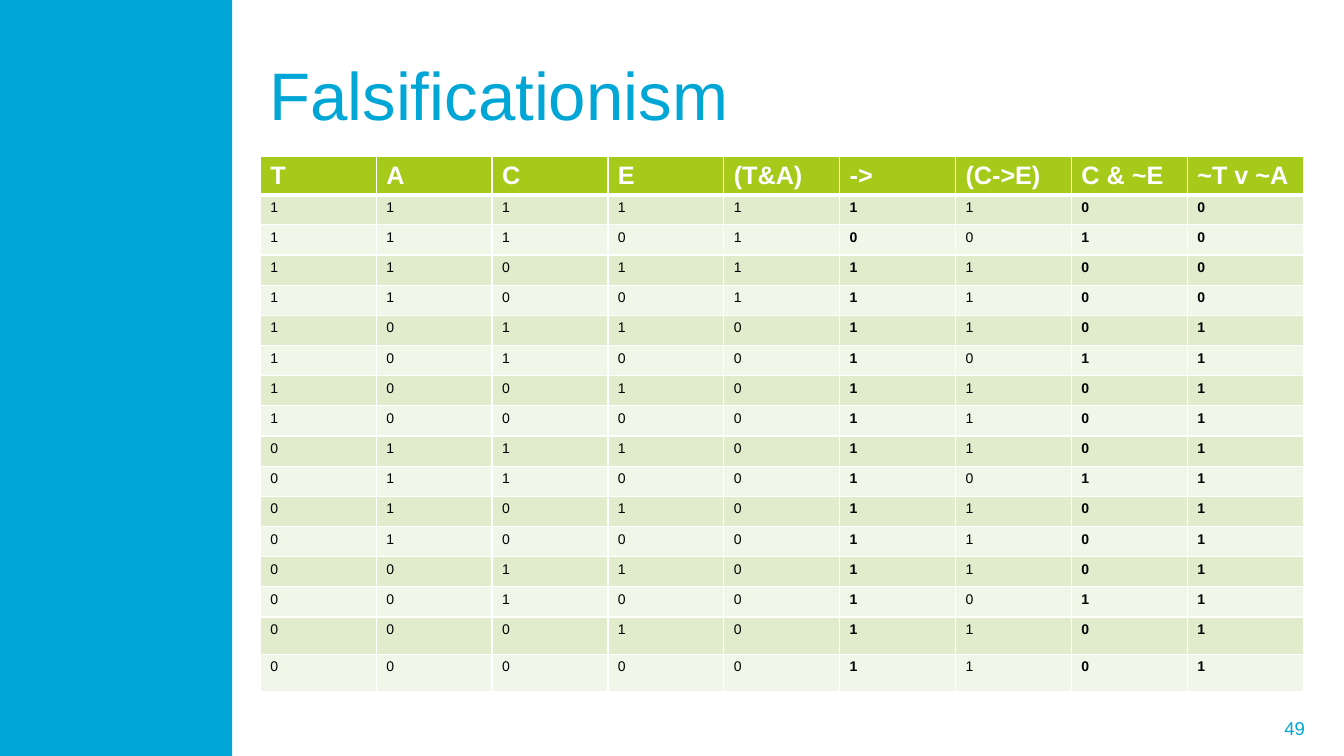
"""Build the Falsificationism slide with its computed truth table."""
import itertools

import lxml.etree
import pptx
import pptx.dml.color
import pptx.enum.shapes
import pptx.enum.text
import pptx.oxml.ns
import pptx.util

Cm = pptx.util.Cm
RGBColor = pptx.dml.color.RGBColor
FONT = "Arial"
BLUE = RGBColor(0x00, 0xA6, 0xD6)
GREEN = RGBColor(0xA5, 0xCA, 0x1A)
BAND_DARK = RGBColor(0xE1, 0xEC, 0xCD)
BAND_LIGHT = RGBColor(0xF0, 0xF6, 0xE8)
WHITE = RGBColor(0xFF, 0xFF, 0xFF)
BLACK = RGBColor(0x00, 0x00, 0x00)
HEADERS = ["T", "A", "C", "E", "(T&A)", "->", "(C->E)", "C & ~E", "~T v ~A"]
BOLD_COLUMNS = {"->", "C & ~E", "~T v ~A"}


def truth_rows():
    """Return the truth values for every assignment of T, A, C and E."""
    rows = []
    for t, a, c, e in itertools.product((1, 0), repeat=4):
        both = t & a
        follows = (1 - c) | e
        rows.append([t, a, c, e, both, (1 - both) | follows, follows, 1 - follows, 1 - both])
    return rows


def set_text(tf, text, size, color, bold=False):
    """Write one paragraph and format its run."""
    tf.text = text
    p = tf.paragraphs[0]
    font = p.runs[0].font
    font.name = FONT
    font.size = pptx.util.Pt(size)
    font.color.rgb = color
    font.bold = bold
    return p


def place(sp, left, top, width, height):
    """Move and size a shape, in centimetres."""
    sp.left, sp.top, sp.width, sp.height = Cm(left), Cm(top), Cm(width), Cm(height)


def add_sidebar(s):
    """Draw the blue band on the left edge."""
    sp = s.shapes.add_shape(pptx.enum.shapes.MSO_SHAPE.RECTANGLE, 0, 0, Cm(5.85), Cm(19.05))
    sp.shadow.inherit = False
    sp.fill.solid()
    sp.fill.fore_color.rgb = BLUE
    sp.line.fill.background()


def add_title(s, text):
    """Fill and place the title placeholder."""
    sp = s.shapes.title
    place(sp, 6.53, 0.76, 26.31, 3.18)
    p = set_text(sp.text_frame, text, 48, BLUE)
    p.alignment = pptx.enum.text.PP_ALIGN.LEFT
    sp.text_frame.vertical_anchor = pptx.enum.text.MSO_ANCHOR.MIDDLE


def add_page_number(s, number):
    """Put the page number at the bottom right."""
    sp = s.shapes.add_textbox(Cm(24.64), Cm(17.83), Cm(8.58), Cm(1.02))
    tf = sp.text_frame
    tf.word_wrap = True
    tf.vertical_anchor = pptx.enum.text.MSO_ANCHOR.MIDDLE
    tf.margin_left = tf.margin_right = Cm(0.33)
    tf.margin_top = tf.margin_bottom = Cm(0.18)
    set_text(tf, number, 13.3, BLUE).alignment = pptx.enum.text.PP_ALIGN.RIGHT


def set_borders(cell, top, bottom):
    """Give a cell white borders, with top and bottom widths in points."""
    qn = pptx.oxml.ns.qn
    tc_pr = cell._tc.get_or_add_tcPr()
    for side, width in (("L", 1), ("R", 1), ("T", top), ("B", bottom)):
        ln = lxml.etree.SubElement(tc_pr, qn(f"a:ln{side}"), w=str(pptx.util.Pt(width)))
        fill = lxml.etree.SubElement(ln, qn("a:solidFill"))
        lxml.etree.SubElement(fill, qn("a:srgbClr"), val=str(WHITE))


def fill_cell(cell, text, size, color, bold, fill, top=1, bottom=1):
    """Write, border and fill one table cell."""
    set_text(cell.text_frame, text, size, color, bold)
    set_borders(cell, top, bottom)
    cell.fill.solid()
    cell.fill.fore_color.rgb = fill


def add_truth_table(s):
    """Add the truth table with banded rows."""
    rows = truth_rows()
    heights = [0.94] + [0.76] * (len(rows) - 2) + [0.94] * 2
    table = s.shapes.add_table(len(heights), len(HEADERS), Cm(6.56), Cm(3.94),
                               Cm(26.28), Cm(sum(heights))).table
    for row, height in zip(table.rows, heights):
        row.height = Cm(height)
    for i, header in enumerate(HEADERS):
        table.columns[i].width = Cm(2.92)
        fill_cell(table.cell(0, i), header, 18, WHITE, True, GREEN, bottom=3)
        for j, row in enumerate(rows, 1):
            fill_cell(table.cell(j, i), str(row[i]), 10, BLACK, header in BOLD_COLUMNS,
                      BAND_DARK if j % 2 else BAND_LIGHT, top=3 if j == 1 else 1)


def main():
    """Build and save the presentation."""
    prs = pptx.Presentation()
    prs.slide_width, prs.slide_height = Cm(33.87), Cm(19.05)
    s = prs.slides.add_slide(prs.slide_layouts[5])
    add_sidebar(s)
    add_title(s, "Falsificationism")
    add_truth_table(s)
    add_page_number(s, "49")
    prs.save("out.pptx")


if __name__ == "__main__":
    main()
